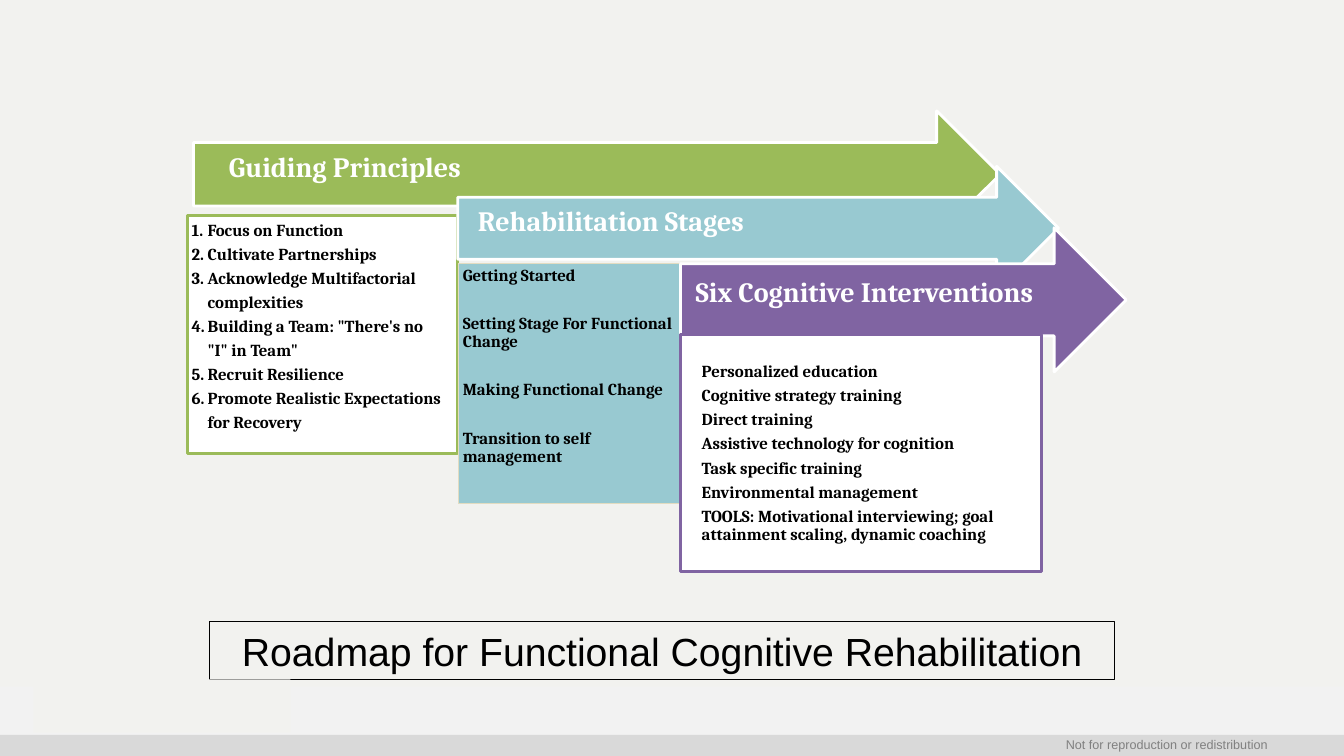
from pptx import Presentation
from pptx.dml.color import RGBColor
from pptx.enum.shapes import MSO_SHAPE
from pptx.enum.text import MSO_ANCHOR, PP_ALIGN
from pptx.util import Inches, Pt
from lxml import etree

RECT, ARROW = MSO_SHAPE.RECTANGLE, MSO_SHAPE.RIGHT_ARROW
TOP, MIDDLE = MSO_ANCHOR.TOP, MSO_ANCHOR.MIDDLE
LEFT, CENTER, RIGHT = PP_ALIGN.LEFT, PP_ALIGN.CENTER, PP_ALIGN.RIGHT
A = "{http://schemas.openxmlformats.org/drawingml/2006/main}"
BACK, WHITE, BLACK = "F2F2EF", "FFFFFF", "000000"
GREEN, TEAL, PURPLE, SAND = "9BBB59", "98C9D1", "8064A2", "E2DCC1"

# Each stage: arrow box, arrow colour, heading, heading indent,
# panel box, panel fill, panel line, line width, text insets, items, list style
STAGES = [
    ((1.92, 1.1, 8, 1.26), GREEN, "Guiding Principles", 0.35,
     (1.86, 2.14, 2.68, 2.36), WHITE, GREEN, 2, (0.04, 0, 0.04, 0.04),
     ["Focus on Function", "Cultivate Partnerships",
      "Acknowledge Multifactorial\vcomplexities",
      "Building a Team: \"There's no\v\"I\" in Team\"",
      "Recruit Resilience", "Promote Realistic Expectations\vfor Recovery"],
     {"line": Pt(17.15), "after": 0, "numbered": True}),
    ((4.54, 1.65, 5.96, 1.23), TEAL, "Rehabilitation Stages", 0.2,
     (4.55, 2.61, 2.2, 2.39), TEAL, SAND, 0.75, (0.04, 0.04, 0.04, 0.04),
     ["Getting Started", "Setting Stage For Functional Change",
      "Making Functional Change", "Transition to self management"],
     {"line": 0.9, "after": 21.4}),
    ((6.75, 2.26, 4.42, 1.43), PURPLE, "Six Cognitive Interventions", 0.15,
     (6.75, 3.32, 3.58, 2.35), WHITE, PURPLE, 2, (0.21, 0.28, 0.04, 0.04),
     ["Personalized education", "Cognitive strategy training",
      "Direct training", "Assistive technology for cognition",
      "Task specific training", "Environmental management",
      "TOOLS: Motivational interviewing; goal attainment scaling, "
      "dynamic coaching"],
     {"line": 0.9, "after": 4.3}),
]


def rgb(value):
    return RGBColor.from_string(value)


def add_box(s, kind, box, fill, line=None, width=2):
    sp = s.shapes.add_shape(kind, *map(Inches, box))
    sp.shadow.inherit = False
    sp.fill.solid()
    sp.fill.fore_color.rgb = rgb(fill)
    if line:
        sp.line.color.rgb = rgb(line)
        sp.line.width = Pt(width)
    else:
        sp.line.fill.background()
    return sp


def set_frame(sp, insets, anchor):
    tf = sp.text_frame
    tf.word_wrap = True
    tf.vertical_anchor = anchor
    (tf.margin_left, tf.margin_top,
     tf.margin_right, tf.margin_bottom) = map(Inches, insets)
    return tf


def style(p, font, size, color, bold=False, align=LEFT):
    p.alignment = align
    p.font.name, p.font.size, p.font.bold = font, Pt(size), bold
    p.font.color.rgb = rgb(color)


def number(p, hang):
    pPr = p._p.get_or_add_pPr()
    pPr.set("marL", str(Inches(hang)))
    pPr.set("indent", str(-Inches(hang)))
    bullet = etree.Element(A + "buAutoNum", type="arabicPeriod")
    default = pPr.find(A + "defRPr")
    default.addprevious(bullet)


def add_heading_arrow(s, box, color, text, indent):
    sp = add_box(s, ARROW, box, color, WHITE)
    tf = set_frame(sp, (indent, 0.05, 0.04, 0.17), MIDDLE)
    p = tf.paragraphs[0]
    p.text = text
    p.line_spacing = 0.9
    style(p, "Cambria", 20, WHITE, bold=True)


def add_panel(s, box, fill, line, width, insets, items, layout):
    sp = add_box(s, RECT, box, fill, line, width)
    tf = set_frame(sp, insets, TOP)
    for i, item in enumerate(items):
        p = tf.add_paragraph() if i else tf.paragraphs[0]
        p.text = item
        p.line_spacing = layout["line"]
        p.space_after = Pt(layout["after"])
        style(p, "Cambria", 12, BLACK, bold=True)
        if layout.get("numbered"):
            number(p, 0.16)


def add_title(s, box, text):
    title = s.shapes.title
    title.left, title.top, title.width, title.height = map(Inches, box)
    title.line.color.rgb = rgb(BLACK)
    title.line.width = Pt(0.75)
    tf = set_frame(title, (0.1, 0.05, 0.1, 0.05), MIDDLE)
    tf.text = text
    style(tf.paragraphs[0], "Arial", 28, BLACK, align=CENTER)


def add_footer(s, top, width, height):
    add_box(s, RECT, (0, top, width, height), "F2F2F2")
    add_box(s, RECT, (0, top + 0.48, width, height - 0.48), "D9D9D9")
    note = s.shapes.add_textbox(*map(Inches, (0.89, top + 0.45, 11.78, 0.2)))
    tf = set_frame(note, (0.1, 0.05, 0.1, 0.05), TOP)
    tf.text = "Not for reproduction or redistribution"
    style(tf.paragraphs[0], "Arial", 9, "808080", align=RIGHT)


def main():
    prs = Presentation()
    prs.slide_width, prs.slide_height = Inches(13.33), Inches(7.5)
    s = prs.slides.add_slide(prs.slide_layouts[5])
    s.background.fill.solid()
    s.background.fill.fore_color.rgb = rgb(BACK)

    add_title(s, (2.08, 6.17, 8.97, 0.57),
              "Roadmap for Functional Cognitive Rehabilitation")
    add_footer(s, 6.81, 13.33, 0.69)

    # Overlapping stages, back to front
    for stage in STAGES:
        add_heading_arrow(s, *stage[:4])
        add_panel(s, *stage[4:])

    # Plain block over the footer's left end
    add_box(s, RECT, (0.33, 6.74, 2.55, 0.53), BACK)
    prs.save("out.pptx")


if __name__ == "__main__":
    main()
